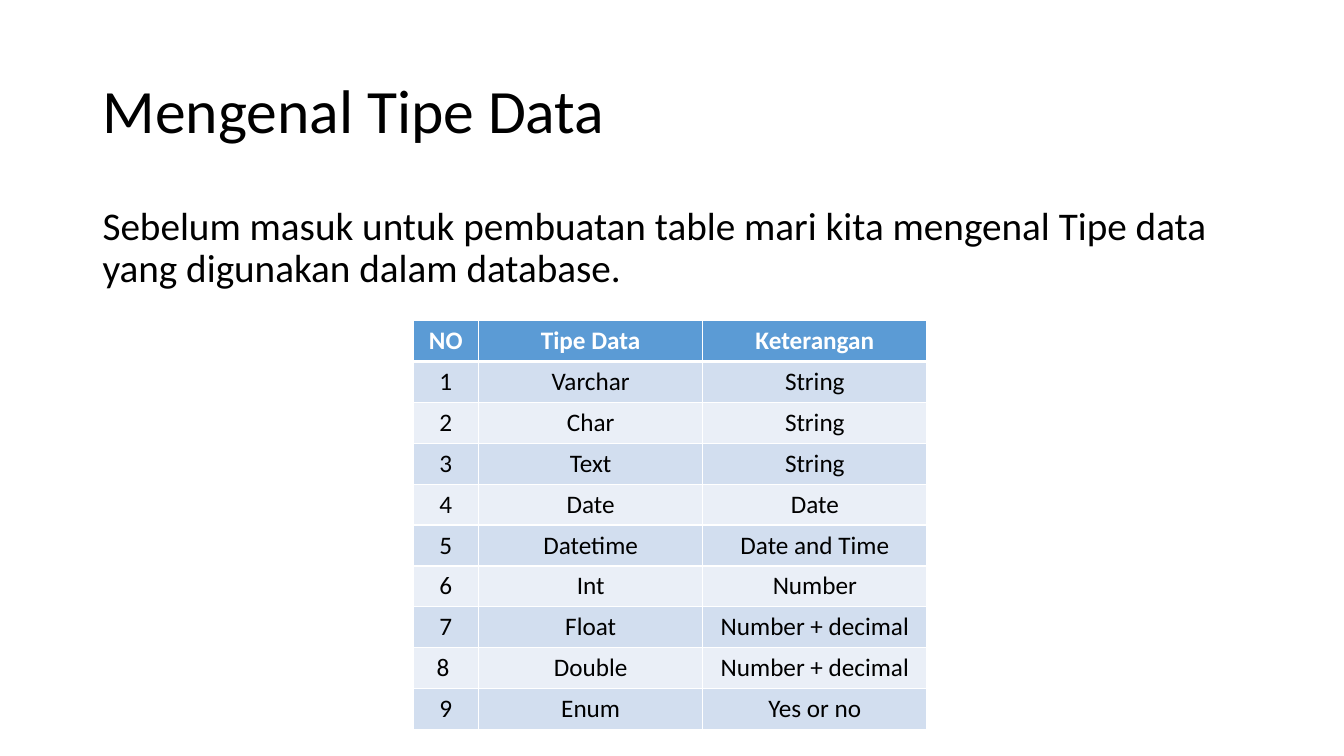
from typing import NamedTuple

import pptx
import pptx.dml.color
import pptx.enum.text
import pptx.oxml
import pptx.oxml.ns
import pptx.util
from pptx.dml.color import RGBColor
from pptx.util import Cm

FONT = "Calibri"
BLACK = RGBColor(0x00, 0x00, 0x00)
WHITE = RGBColor(0xFF, 0xFF, 0xFF)
HEADER_BLUE = RGBColor(0x5B, 0x9B, 0xD5)
BAND_DARK = RGBColor(0xD2, 0xDE, 0xEF)
BAND_LIGHT = RGBColor(0xEA, 0xEF, 0xF7)

COLUMN_WIDTHS = (Cm(1.65), Cm(5.65), Cm(5.65))
ROW_HEIGHT = Cm(1.03)


class DataType(NamedTuple):
    number: str
    name: str
    meaning: str


HEADINGS = DataType("NO", "Tipe Data", "Keterangan")
DATA_TYPES = (
    DataType("1", "Varchar", "String"),
    DataType("2", "Char", "String"),
    DataType("3", "Text", "String"),
    DataType("4", "Date", "Date"),
    DataType("5", "Datetime", "Date and Time"),
    DataType("6", "Int", "Number"),
    DataType("7", "Float", "Number + decimal"),
    DataType("8 ", "Double", "Number + decimal"),
    DataType("9", "Enum", "Yes or no"),
)


def write_text(frame, text: str, size: int, color: RGBColor, bold: bool = False):
    """Fill the frame with one formatted paragraph and return it."""
    frame.text = text
    para = frame.paragraphs[0]
    font = para.runs[0].font
    font.name = FONT
    font.size = pptx.util.Pt(size)
    font.bold = bold
    font.color.rgb = color
    return para


def fill_placeholder(box, top: Cm, height: Cm, text: str, size: int):
    box.left, box.top, box.width, box.height = Cm(2.33), top, Cm(29.21), height
    para = write_text(box.text_frame, text, size, BLACK)
    para.alignment = pptx.enum.text.PP_ALIGN.LEFT
    para.line_spacing = 0.9
    box.text_frame.auto_size = pptx.enum.text.MSO_AUTO_SIZE.NONE
    return para


def remove_bullet(para) -> None:
    properties = para._p.get_or_add_pPr()
    properties.set("marL", "0")
    properties.set("indent", "0")
    pptx.oxml.ns.qn("a:buNone")
    properties.append(properties.makeelement(pptx.oxml.ns.qn("a:buNone"), {}))


def set_borders(cell, top_points: int, bottom_points: int) -> None:
    widths = {"lnL": 1, "lnR": 1, "lnT": top_points, "lnB": bottom_points}
    for side, points in widths.items():
        line = pptx.oxml.parse_xml(
            f'<a:{side} {pptx.oxml.ns.nsdecls("a")} w="{pptx.util.Pt(points)}">'
            f'<a:solidFill><a:srgbClr val="{WHITE}"/></a:solidFill></a:{side}>'
        )
        cell._tc.get_or_add_tcPr().append(line)


def add_type_table(slide) -> None:
    rows = (HEADINGS, *DATA_TYPES)
    table = slide.shapes.add_table(
        len(rows), len(COLUMN_WIDTHS), Cm(10.41), Cm(8.08),
        sum(COLUMN_WIDTHS), ROW_HEIGHT * len(rows),
    ).table
    for column, width in zip(table.columns, COLUMN_WIDTHS):
        column.width = width
    for index, entry in enumerate(rows):
        is_header = index == 0
        band = BAND_DARK if index % 2 else BAND_LIGHT
        for column_index, text in enumerate(entry):
            cell = table.cell(index, column_index)
            para = write_text(cell.text_frame, text, 18,
                              WHITE if is_header else BLACK, is_header)
            para.alignment = pptx.enum.text.PP_ALIGN.CENTER
            set_borders(cell, 3 if index == 1 else 1, 3 if is_header else 1)
            cell.fill.solid()
            cell.fill.fore_color.rgb = HEADER_BLUE if is_header else band


def main() -> None:
    deck = pptx.Presentation()
    deck.slide_width, deck.slide_height = Cm(33.87), Cm(19.05)
    slide = deck.slides.add_slide(deck.slide_layouts[1])
    title, body = slide.placeholders
    fill_placeholder(title, Cm(1.01), Cm(3.68), "Mengenal Tipe Data", 44)
    title.text_frame.vertical_anchor = pptx.enum.text.MSO_ANCHOR.MIDDLE
    intro = fill_placeholder(
        body, Cm(5.07), Cm(12.68),
        "Sebelum masuk untuk pembuatan table mari kita mengenal Tipe data "
        "yang digunakan dalam database.", 28,
    )
    intro.space_before = pptx.util.Pt(10)
    remove_bullet(intro)
    add_type_table(slide)
    deck.save("out.pptx")


if __name__ == "__main__":
    main()
